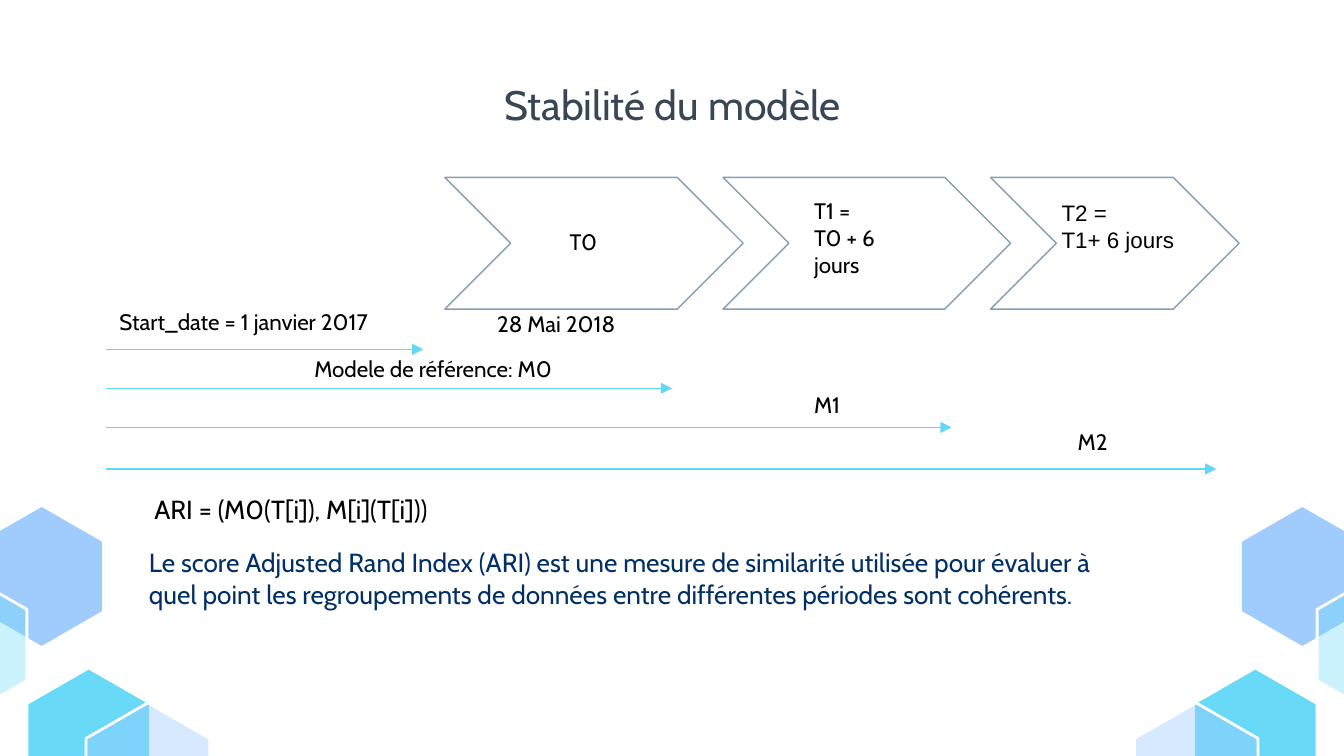
from lxml import etree
from pptx import Presentation
from pptx.dml.color import RGBColor
from pptx.enum import shapes, text
from pptx.oxml.ns import qn
from pptx.util import Inches, Pt

BLACK = RGBColor(0x00, 0x00, 0x00)
WHITE = RGBColor(0xFF, 0xFF, 0xFF)
SLATE = RGBColor(0x38, 0x46, 0x55)
NAVY = RGBColor(0x02, 0x30, 0x65)
OUTLINE = RGBColor(0x86, 0x9F, 0xB2)
CYAN = RGBColor(0x62, 0xD7, 0xF6)
HEX_BLUE = RGBColor(0x9F, 0xCB, 0xFD)
HEX_CYAN = RGBColor(0x68, 0xDA, 0xF8)

SLIDE_W = 10
SLIDE_H = SLIDE_W * 9 / 16
HEX_W, HEX_H = 0.92, 1.06
TIMELINE_X = 0.79


def write(tf, lines, size=12, font="Cabin", color=BLACK, align=text.PP_ALIGN.LEFT):
    """Fill a text frame with one paragraph per line."""
    for i, line in enumerate(lines.split("\n")):
        p = tf.paragraphs[0] if i == 0 else tf.add_paragraph()
        p.alignment = align
        r = p.add_run()
        r.text = line
        r.font.name, r.font.size, r.font.color.rgb = font, Pt(size), color


def add_label(s, lines, x, y, w, h=0.3, wrap=True, **fmt):
    tf = s.shapes.add_textbox(Inches(x), Inches(y), Inches(w), Inches(h)).text_frame
    tf.word_wrap = wrap
    tf.auto_size = text.MSO_AUTO_SIZE.SHAPE_TO_FIT_TEXT
    write(tf, lines, **fmt)


def add_title(s, title):
    sp = s.shapes.title
    sp.left, sp.top = Inches(0.79), Inches(0.49)
    sp.width, sp.height = Inches(8.43), Inches(0.63)
    tf = sp.text_frame
    tf.margin_left = tf.margin_right = tf.margin_top = tf.margin_bottom = Inches(0.1)
    tf.vertical_anchor = text.MSO_ANCHOR.TOP
    write(tf, title, size=22, color=SLATE, align=text.PP_ALIGN.CENTER)


def add_hexagon(s, x, y, color, opacity=100):
    corners = [(0.5, 0), (1, 0.25), (1, 0.75), (0.5, 1), (0, 0.75), (0, 0.25)]
    points = [(Inches(x + fx * HEX_W), Inches(y + fy * HEX_H)) for fx, fy in corners]
    builder = s.shapes.build_freeform(*points[0])
    builder.add_line_segments(points[1:], close=True)
    sp = builder.convert_to_shape()
    sp.shadow.inherit = False
    sp.fill.solid()
    sp.fill.fore_color.rgb = color
    sp.line.color.rgb, sp.line.width = WHITE, Pt(1.5)
    if opacity < 100:
        clr = sp.fill._xPr.find(qn("a:solidFill"))[0]
        etree.SubElement(clr, qn("a:alpha"), val=str(opacity * 1000))


def add_chevron(s, x, w):
    sp = s.shapes.add_shape(shapes.MSO_SHAPE.CHEVRON, Inches(x), Inches(1.32),
                            Inches(w), Inches(0.98))
    sp.adjustments[0] = 0.5
    sp.shadow.inherit = False
    sp.fill.background()
    sp.line.color.rgb, sp.line.width = OUTLINE, Pt(0.75)


def add_arrow(s, x_end, y):
    line = s.shapes.add_connector(shapes.MSO_CONNECTOR.STRAIGHT, Inches(TIMELINE_X),
                                  Inches(y), Inches(x_end), Inches(y))
    line.line.color.rgb, line.line.width = CYAN, Pt(0.75)
    etree.SubElement(line.line._get_or_add_ln(), qn("a:tailEnd"), type="triangle")
    etree.SubElement(line._element.spPr, qn("a:effectLst"))


def main():
    prs = Presentation()
    prs.slide_width, prs.slide_height = Inches(SLIDE_W), Inches(SLIDE_H)
    s = prs.slides.add_slide(prs.slide_layouts[5])

    # Corner hexagons, mirrored left to right
    for x, y, color, opacity in [(-0.15, 3.76, HEX_BLUE, 100), (0.2, 4.97, HEX_CYAN, 100),
                                 (-0.72, 4.27, HEX_CYAN, 34), (0.64, 5.23, HEX_BLUE, 41)]:
        for left in (x, SLIDE_W - HEX_W - x):
            add_hexagon(s, left, y, color, opacity)

    add_title(s, "Stabilité du modèle")

    # Periods
    for x, w in [(3.31, 2.22), (5.38, 2.14), (7.37, 1.85)]:
        add_chevron(s, x, w)
    add_label(s, "T0", 4.14, 1.65, 0.44, wrap=False)
    add_label(s, "T1 =\nT0 + 6 jours", 5.96, 1.42, 0.98, 0.71)
    add_label(s, "T2 =\nT1+ 6 jours", 7.8, 1.43, 1.15, 0.71, font="Arial")
    add_label(s, "28 Mai 2018", 3.6, 2.26, 1.29)

    # Training spans of the models
    for x_end, y in [(3.15, 2.6), (5, 2.89), (7.08, 3.18), (9.05, 3.49)]:
        add_arrow(s, x_end, y)
    add_label(s, "Start_date = 1 janvier 2017", TIMELINE_X, 2.24, 2.22, wrap=False)
    add_label(s, "Modele de référence: M0", 2.24, 2.59, 2.36)
    add_label(s, "M1", 5.96, 2.86, 0.45)
    add_label(s, "M2", 7.92, 3.14, 0.62)

    # Score definition
    add_label(s, "ARI = (M0(T[i]), M[i](T[i]))", 1.05, 3.62, 2.38, 0.34, wrap=False, size=14)
    add_label(s, "Le score Adjusted Rand Index (ARI) est une mesure de similarité utilisée "
                 "pour évaluer à\nquel point les regroupements de données entre différentes "
                 "périodes sont cohérents.",
              1.01, 4.02, 7.56, 0.57, wrap=False, size=14, color=NAVY)

    prs.save("out.pptx")


if __name__ == "__main__":
    main()
